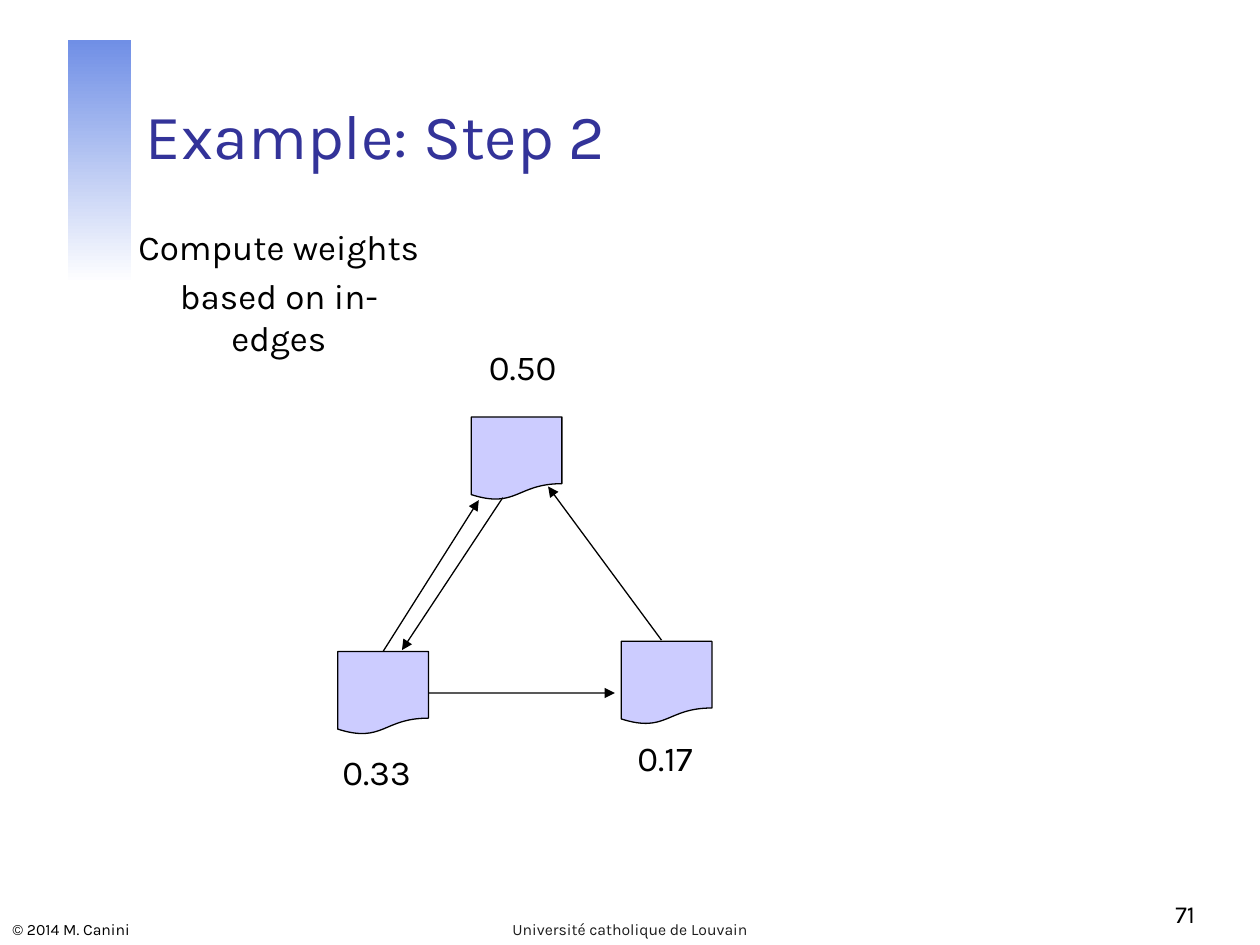
from dataclasses import dataclass

from lxml import etree
from pptx import Presentation
from pptx.dml.color import RGBColor
from pptx.enum.shapes import MSO_CONNECTOR, MSO_SHAPE
from pptx.enum.text import MSO_ANCHOR, PP_ALIGN
from pptx.oxml.ns import qn
from pptx.util import Pt

RECT = MSO_SHAPE.RECTANGLE
DOCUMENT = MSO_SHAPE.FLOWCHART_DOCUMENT
STRAIGHT = MSO_CONNECTOR.STRAIGHT
TOP, BOTTOM = MSO_ANCHOR.TOP, MSO_ANCHOR.BOTTOM
LEFT, CENTER, RIGHT = PP_ALIGN.LEFT, PP_ALIGN.CENTER, PP_ALIGN.RIGHT
TOP_SITE, RIGHT_SITE = 0, 3


@dataclass(frozen=True)
class Theme:
    font: str = "Karla"
    title: RGBColor = RGBColor(0x33, 0x33, 0x99)
    text: RGBColor = RGBColor(0, 0, 0)
    footer: RGBColor = RGBColor(0x1C, 0x1C, 0x1C)
    page: RGBColor = RGBColor(0xCC, 0xCC, 0xFF)
    band_start: RGBColor = RGBColor(0x70, 0x8F, 0xE6)
    band_end: RGBColor = RGBColor(0xFF, 0xFF, 0xFF)
    title_size: float = 36
    body_size: float = 20
    number_size: float = 14
    footer_size: float = 9
    line_width: float = 0.75


THEME = Theme()


def add_text(s, box, lines, size, color=THEME.text, align=LEFT, anchor=TOP, wrap=True):
    tf = s.shapes.add_textbox(*map(Pt, box)).text_frame
    tf.word_wrap = wrap
    tf.vertical_anchor = anchor
    for i, line in enumerate(lines):
        p = tf.add_paragraph() if i else tf.paragraphs[0]
        p.alignment = align
        if i:
            p.space_before = Pt(size * 0.2)
        r = p.add_run()
        r.text = line
        r.font.name = THEME.font
        r.font.size = Pt(size)
        r.font.color.rgb = color


def add_band(s, box):
    sp = s.shapes.add_shape(RECT, *map(Pt, box))
    sp.shadow.inherit = False
    sp.line.fill.background()
    sp.fill.gradient()
    sp.fill.gradient_angle = 270
    for stop, color, position in zip(
        sp.fill.gradient_stops, (THEME.band_start, THEME.band_end), (0, 1)
    ):
        stop.color.rgb = color
        stop.position = position


def add_page(s, left, top):
    sp = s.shapes.add_shape(DOCUMENT, Pt(left), Pt(top), Pt(51.8), Pt(47.5))
    sp.shadow.inherit = False
    sp.fill.solid()
    sp.fill.fore_color.rgb = THEME.page
    sp.line.color.rgb = THEME.text
    sp.line.width = Pt(THEME.line_width)
    return sp


def add_arrow(s, start, end, source=None, site=None):
    c = s.shapes.add_connector(STRAIGHT, *map(Pt, start + end))
    if source is not None:
        c.begin_connect(source, site)
    c.line.color.rgb = THEME.text
    c.line.width = Pt(THEME.line_width)
    etree.SubElement(c.line._get_or_add_ln(), qn("a:tailEnd"), type="triangle")
    etree.SubElement(c._element.spPr, qn("a:effectLst"))


def add_weight(s, left, top, value):
    add_text(s, (left, top, 56, 36), [value], THEME.body_size, align=CENTER, wrap=False)


def add_graph(s):
    add_page(s, 269.3, 238.3)
    left_page = add_page(s, 193, 372.3)
    add_page(s, 355, 366.5)

    add_arrow(s, (218.9, 372.3), (273.6, 285.8), left_page, TOP_SITE)
    add_arrow(s, (378, 365.8), (313.2, 278))
    add_arrow(s, (287.3, 284.4), (229.7, 371.5))
    add_arrow(s, (244.8, 396), (351.4, 396), left_page, RIGHT_SITE)

    add_weight(s, 352, 417.6, "0.17")
    add_weight(s, 270.7, 193.7, "0.50")
    add_weight(s, 187.2, 425.5, "0.33")


def add_footer(s):
    add_text(s, (0, 520, 217.5, 20), ["© 2014 M. Canini"],
             THEME.footer_size, anchor=BOTTOM)
    add_text(s, (246.2, 520, 227.5, 20), ["Université catholique de Louvain"],
             THEME.footer_size, THEME.footer, CENTER, BOTTOM)
    add_text(s, (540, 498.2, 150, 36), ["71"],
             THEME.number_size, align=RIGHT, anchor=BOTTOM)


def main():
    prs = Presentation()
    prs.slide_width, prs.slide_height = Pt(720), Pt(540)
    s = prs.slides.add_slide(prs.slide_layouts[6])
    add_band(s, (38.9, 23, 36, 139))
    add_text(s, (76.3, 23.8, 613.4, 77.8), ["Example: Step 2"],
             THEME.title_size, THEME.title, anchor=BOTTOM)
    add_graph(s)
    add_text(s, (70.5, 125.3, 177.8, 60.5), ["Compute weights", "based on in-edges"],
             THEME.body_size, align=CENTER)
    add_footer(s)
    prs.save("out.pptx")


if __name__ == "__main__":
    main()
